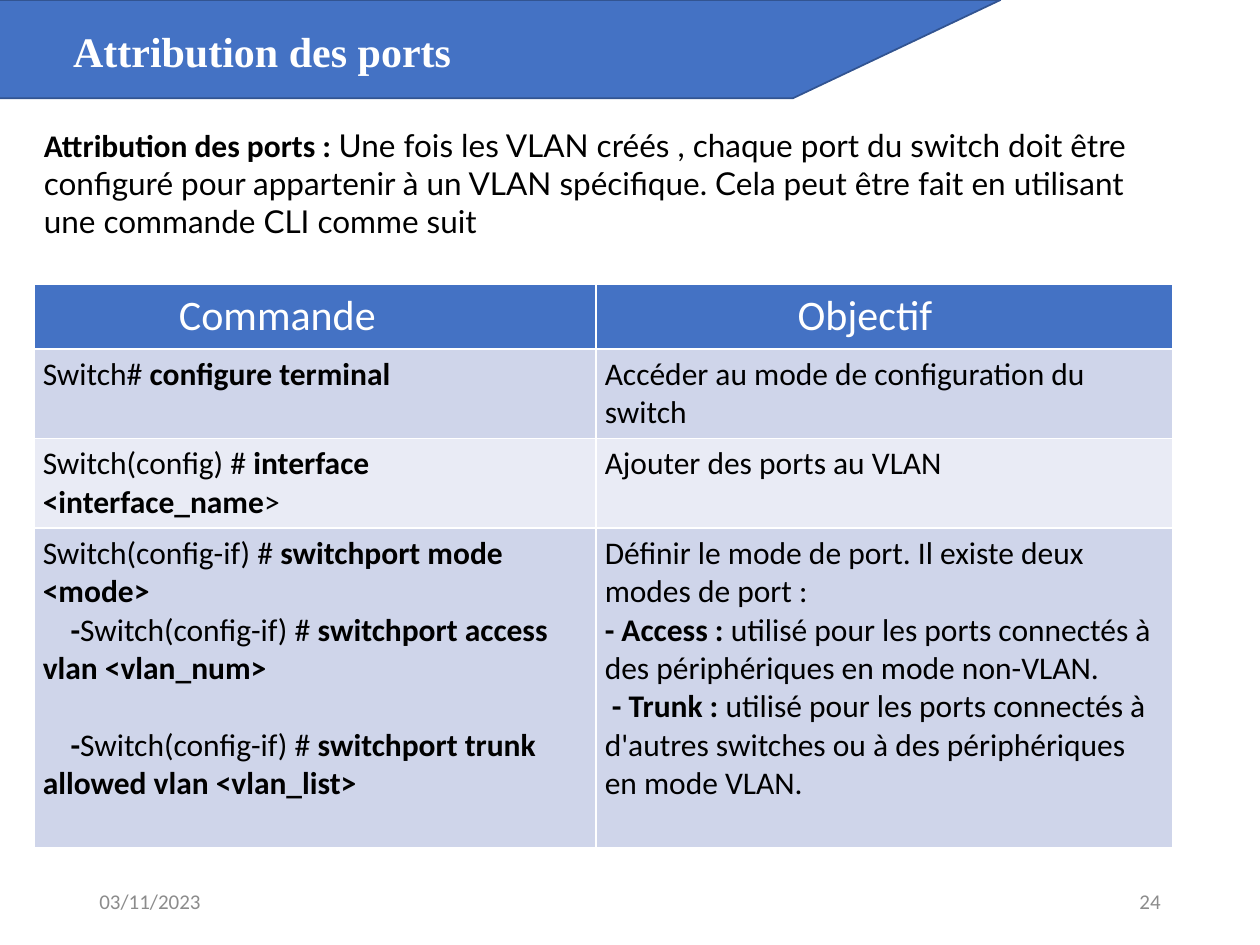
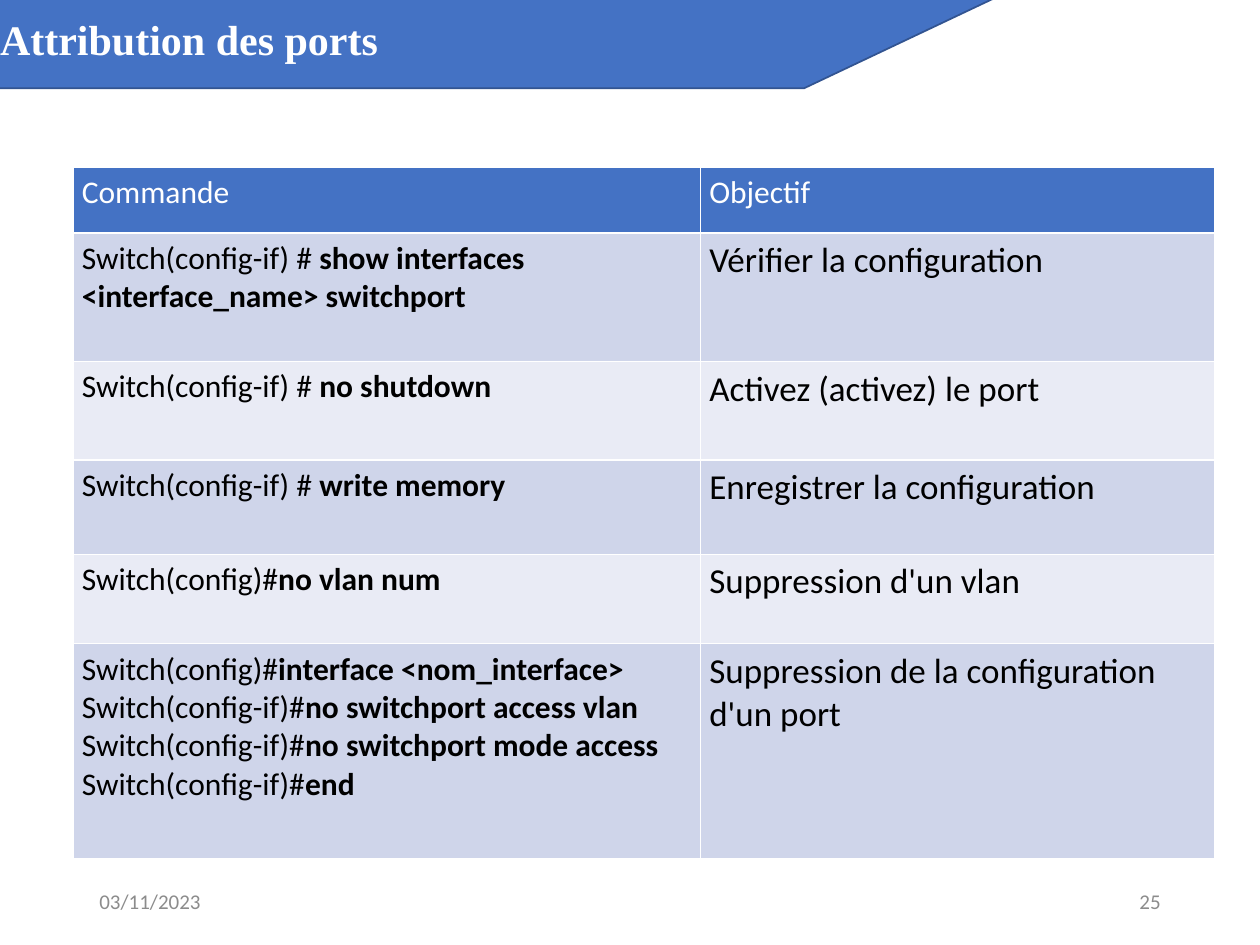
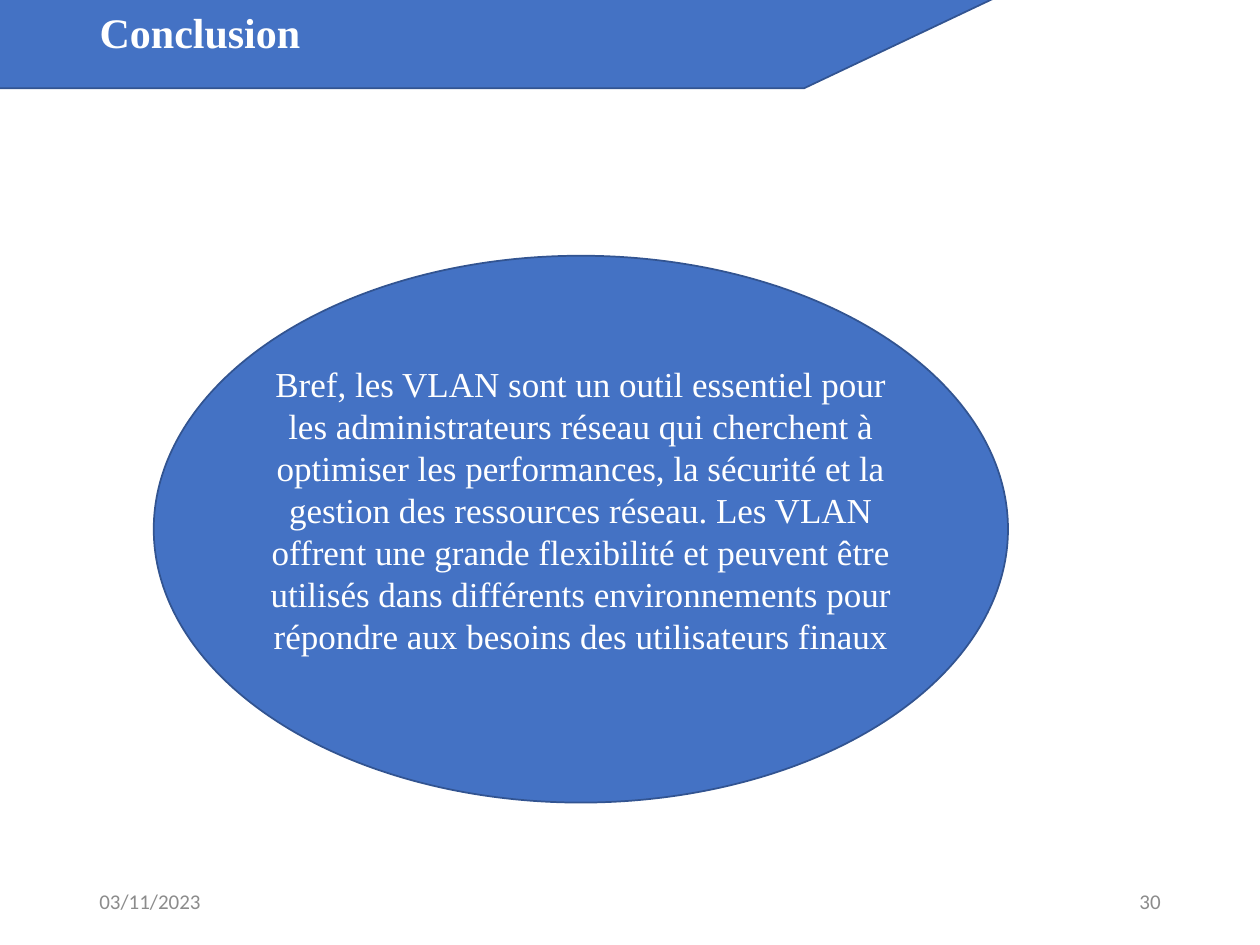
"""Build three slides on VLAN port assignment and their conclusion."""
from pptx import Presentation
from pptx.dml.color import RGBColor
from pptx.enum.shapes import MSO_SHAPE
from pptx.enum.text import MSO_ANCHOR, MSO_AUTO_SIZE, PP_ALIGN
from pptx.util import Inches, Pt

BLUE = RGBColor(0x44, 0x72, 0xC4)
DARK_BLUE = RGBColor(0x32, 0x54, 0x91)
ROW_FILLS = (RGBColor(0xCF, 0xD5, 0xEA), RGBColor(0xE9, 0xEB, 0xF5))
WHITE = RGBColor(0xFF, 0xFF, 0xFF)
BLACK = RGBColor(0, 0, 0)
GREY = RGBColor(0x8C, 0x8C, 0x8C)

SERIF, SANS, BODY = "Times New Roman", "Calibri", "Lato"
DATE = "03/11/2023"
BOLD_MARK = "**"
DASH_INDENT = 0.22

INTRO = (
    ("Attribution des ports : ", SANS, True),
    ("Une fois les VLAN créés , chaque port du switch doit être configuré pour appartenir "
     "à un VLAN spécifique. Cela peut être fait en utilisant une commande CLI comme suit",
     BODY, False),
)
CONCLUSION = (
    "Bref, les VLAN sont un outil essentiel pour les administrateurs réseau qui cherchent à "
    "optimiser les performances, la sécurité et la gestion des ressources réseau. Les VLAN "
    "offrent une grande flexibilité et peuvent être utilisés dans différents environnements "
    "pour répondre aux besoins des utilisateurs finaux"
)
HEADERS = ("Commande", "Objectif")

ASSIGNMENT_TABLE = {
    "position": (0.27, 2.26),
    "columns": (4.46, 4.58),
    "heights": (0.51, 0.71, 0.71, 2.54),
    "header_size": 24,
    "header_margins": (1.15, 1.6),
    "sizes": (18, 18),
    "rows": [
        (["Switch# **configure terminal**"], ["Accéder au mode de configuration du switch"]),
        (["Switch(config) # **interface <interface_name**>"], ["Ajouter des ports au VLAN"]),
        (["Switch(config-if) # **switchport mode <mode>**",
          "**-**Switch(config-if) # **switchport access vlan <vlan_num>**",
          "**-**Switch(config-if) # **switchport trunk allowed vlan <vlan_list>**"],
         ["Définir le mode de port. Il existe deux modes de port :",
          "**- Access : **utilisé pour les ports connectés à des périphériques en mode non-VLAN.",
          "** - Trunk : **utilisé pour les ports connectés à d'autres switches ou à des "
          "périphériques en mode VLAN."]),
    ],
}
CHECK_TABLE = {
    "position": (0.58, 1.33),
    "columns": (4.98, 4.08),
    "heights": (0.52, 1.02, 0.78, 0.75, 0.71, 1.71),
    "header_size": 18,
    "header_margins": (0.07, 0.07),
    "sizes": (18, 20),
    "rows": [
        (["Switch(config-if) #** show interfaces <interface_name> switchport**"],
         ["Vérifier la configuration"]),
        (["Switch(config-if) #** no shutdown**"], ["Activez (activez) le port"]),
        (["Switch(config-if) # **write memory**"], ["Enregistrer la configuration"]),
        (["Switch(config)#**no vlan num**"], ["Suppression d'un vlan"]),
        (["Switch(config)#**interface <nom_interface>**",
          "Switch(config-if)#**no switchport access vlan**",
          "Switch(config-if)#**no switchport mode access**",
          "Switch(config-if)#**end**"],
         ["Suppression de la configuration d'un port"]),
    ],
}


def set_attributes(target, values):
    for name, value in values.items():
        setattr(target, name, value)


def add_run(paragraph, text, font, size, color, bold=False):
    run = paragraph.add_run()
    run.text = text
    set_attributes(run.font, {"name": font, "size": Pt(size), "bold": bold})
    run.font.color.rgb = color


def add_text_box(slide, box, anchor=MSO_ANCHOR.TOP, alignment=PP_ALIGN.LEFT):
    frame = slide.shapes.add_textbox(*map(Inches, box)).text_frame
    set_attributes(frame, {"word_wrap": True, "vertical_anchor": anchor})
    paragraph = frame.paragraphs[0]
    paragraph.alignment = alignment
    return paragraph


def add_blue_shape(slide, kind, box):
    shape = slide.shapes.add_shape(kind, *map(Inches, box))
    shape.shadow.inherit = False
    shape.fill.solid()
    shape.fill.fore_color.rgb = BLUE
    shape.line.color.rgb = DARK_BLUE
    shape.line.width = Pt(1)
    return shape


def add_slide(presentation, title_text, number, band_position, title_position):
    slide = presentation.slides.add_slide(presentation.slide_layouts[5])
    band = add_blue_shape(slide, MSO_SHAPE.PARALLELOGRAM, (*band_position, 9.61, 0.78))
    band.adjustments[0] = 2.112

    title = slide.shapes.title
    title._element.addprevious(band._element)
    left, top = title_position
    set_attributes(title, {"left": Inches(left), "top": Inches(top),
                           "width": Inches(6), "height": Inches(0.5)})
    set_attributes(title.text_frame, {
        "margin_left": 0, "margin_right": 0, "word_wrap": True,
        "auto_size": MSO_AUTO_SIZE.NONE, "vertical_anchor": MSO_ANCHOR.TOP})
    paragraph = title.text_frame.paragraphs[0]
    paragraph.alignment = PP_ALIGN.LEFT
    add_run(paragraph, title_text, SERIF, 24, WHITE, True)

    for left, text, alignment in ((0.69, DATE, PP_ALIGN.LEFT),
                                  (7.06, str(number), PP_ALIGN.RIGHT)):
        footer = add_text_box(slide, (left, 6.95, 2.25, 0.4), MSO_ANCHOR.MIDDLE, alignment)
        add_run(footer, text, SANS, 12, GREY)
    return slide


def fill_cell(cell, lines, fill, size, color, left_margin=0.07):
    cell.fill.solid()
    cell.fill.fore_color.rgb = fill
    set_attributes(cell, {"margin_left": Inches(left_margin), "margin_right": Inches(0.07),
                          "margin_top": Inches(0.05), "margin_bottom": Inches(0.05)})
    frame = cell.text_frame
    dashes = 0
    for index, line in enumerate(lines):
        paragraph = frame.add_paragraph() if index else frame.paragraphs[0]
        if line.startswith("**-**"):
            paragraph._p.get_or_add_pPr().set("indent", str(Inches(DASH_INDENT)))
            paragraph.space_before = Pt(22 if dashes else 0)
            dashes += 1
        for part, text in enumerate(line.split(BOLD_MARK)):
            if text:
                add_run(paragraph, text, SANS, size, color, part % 2 == 1)


def add_command_table(slide, content):
    columns, heights = content["columns"], content["heights"]
    box = (*content["position"], sum(columns), sum(heights))
    table = slide.shapes.add_table(len(heights), len(columns), *map(Inches, box)).table
    for column, width in zip(table.columns, columns):
        column.width = Inches(width)
    for row, height in zip(table.rows, heights):
        row.height = Inches(height)
    for column, (header, margin) in enumerate(zip(HEADERS, content["header_margins"])):
        fill_cell(table.cell(0, column), [header], BLUE, content["header_size"], WHITE, margin)
    for row, cells in enumerate(content["rows"]):
        for column, (lines, size) in enumerate(zip(cells, content["sizes"])):
            fill_cell(table.cell(row + 1, column), lines, ROW_FILLS[row % 2], size, BLACK)


def main():
    presentation = Presentation()
    presentation.slide_width, presentation.slide_height = Inches(10), Inches(7.5)

    assignment = add_slide(presentation, "Attribution des ports", 24, (-1.67, 0), (0.58, 0.15))
    add_command_table(assignment, ASSIGNMENT_TABLE)
    intro = add_text_box(assignment, (0.25, 0.95, 9.06, 1.01))
    for text, font, bold in INTRO:
        add_run(intro, text, font, 18, BLACK, bold)

    check = add_slide(presentation, "Attribution des ports", 25, (-1.58, -0.08), (0, 0.06))
    add_command_table(check, CHECK_TABLE)

    closing = add_slide(presentation, "Conclusion", 30, (-1.58, -0.08), (0.79, 0))
    add_blue_shape(closing, MSO_SHAPE.OVAL, (1.22, 2.03, 6.78, 4.34))
    summary = add_text_box(closing, (1.97, 2.83, 5.28, 2.46), alignment=PP_ALIGN.CENTER)
    add_run(summary, CONCLUSION, SERIF, 20, WHITE)

    presentation.save("out.pptx")


if __name__ == "__main__":
    main()
